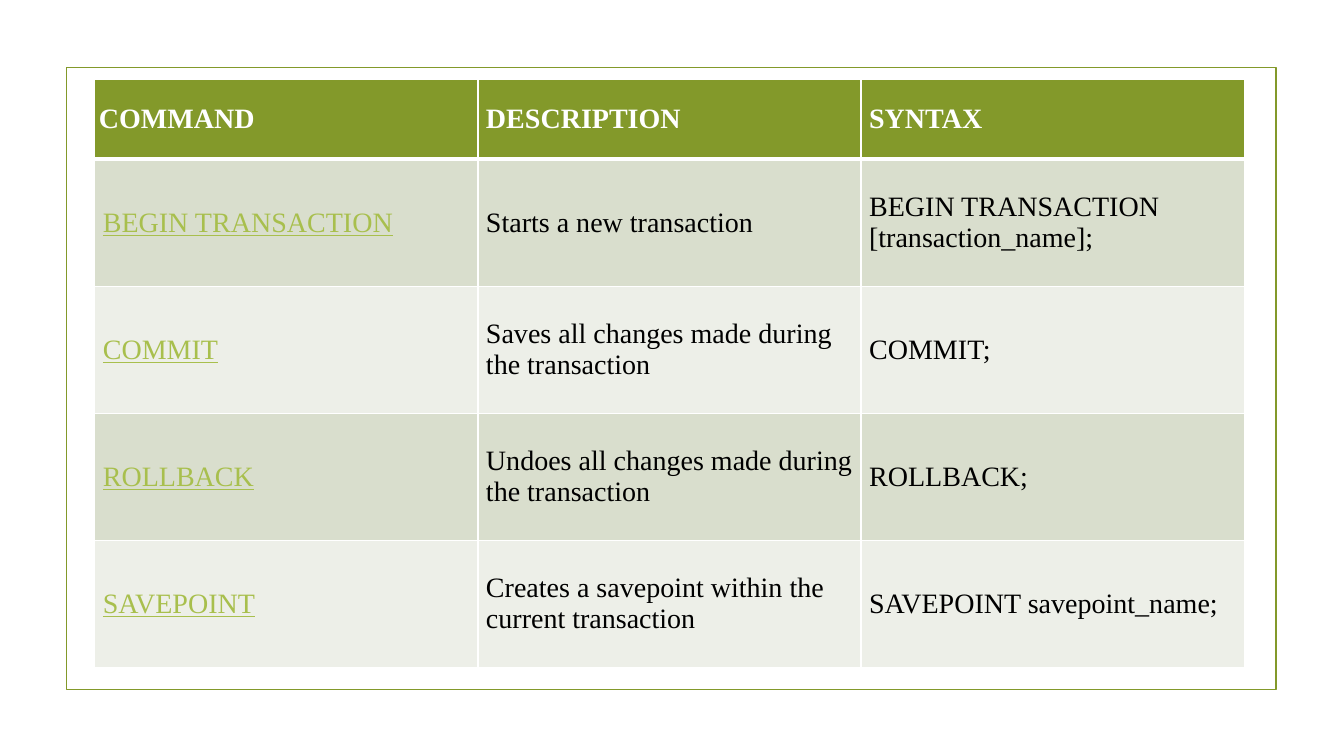
from lxml import etree
from pptx import Presentation
from pptx.dml.color import RGBColor
from pptx.enum.shapes import MSO_SHAPE
from pptx.enum.text import MSO_ANCHOR
from pptx.oxml.ns import qn
from pptx.util import Emu, Pt

EMU_PER_PX = 9144  # 100 px to the inch
COLORS = {
    "olive": "83992A",
    "link": "A8BF4D",
    "white": "FFFFFF",
    "black": "000000",
    "dark_band": "D9DECD",
    "light_band": "EDEFE8",
}
COMMANDS = [
    ("COMMAND", "DESCRIPTION", "SYNTAX"),
    ("BEGIN TRANSACTION", "Starts a new transaction",
     "BEGIN TRANSACTION [transaction_name];"),
    ("COMMIT", "Saves all changes made during the transaction", "COMMIT;"),
    ("ROLLBACK", "Undoes all changes made during the transaction", "ROLLBACK;"),
    ("SAVEPOINT", "Creates a savepoint within the current transaction",
     "SAVEPOINT savepoint_name;"),
]
HEADER_HEIGHT = 79


def px(length):
    return Emu(length * EMU_PER_PX)


def rgb(name):
    return RGBColor.from_string(COLORS[name])


def set_attributes(target, values):
    for name, value in values.items():
        setattr(target, name, value)


def add_frame(slide, box):
    frame = slide.shapes.add_shape(MSO_SHAPE.RECTANGLE, *map(px, box))
    frame.shadow.inherit = False
    frame.fill.background()
    frame.line.color.rgb = rgb("olive")
    frame.line.width = Pt(1.25)


def add_borders(cell, widths):
    # Border lines come before the fill in the cell properties
    properties = cell._tc.get_or_add_tcPr()
    for index, (side, width) in enumerate(widths.items()):
        line = etree.Element(qn(f"a:ln{side}"), w=str(Pt(width)))
        fill = etree.SubElement(line, qn("a:solidFill"))
        etree.SubElement(fill, qn("a:srgbClr"), val=COLORS["white"])
        properties.insert(index, line)


def format_cell(cell, text, row, column):
    is_header = row == 0
    is_link = column == 0 and not is_header
    if is_header:
        fill, ink = "olive", "white"
    else:
        fill = "dark_band" if row % 2 else "light_band"
        ink = "link" if is_link else "black"

    side_margin = px(4 if is_header and column == 0 else 8)
    end_margin = px(8 if is_header else 12)
    set_attributes(cell, {
        "text": text,
        "vertical_anchor": MSO_ANCHOR.MIDDLE,
        "margin_left": side_margin,
        "margin_right": side_margin,
        "margin_top": end_margin,
        "margin_bottom": end_margin,
    })
    cell.fill.solid()
    cell.fill.fore_color.rgb = rgb(fill)
    add_borders(cell, {"L": 1, "R": 1, "T": 3 if row == 1 else 1,
                       "B": 3 if is_header else 1})

    font = cell.text_frame.paragraphs[0].runs[0].font
    set_attributes(font, {"name": "Times New Roman", "size": Pt(20),
                          "bold": is_header, "underline": is_link})
    font.color.rgb = rgb(ink)


def add_command_table(slide, box):
    left, top, width, height = box
    row_count, column_count = len(COMMANDS), len(COMMANDS[0])
    table = slide.shapes.add_table(
        row_count, column_count, px(left), px(top), px(width), px(height)).table

    # Equal columns; body rows share the height below the header
    for column in table.columns:
        column.width = px(width // column_count)
    body_height = (height - HEADER_HEIGHT) // (row_count - 1)
    for index, row in enumerate(table.rows):
        row.height = px(body_height if index else HEADER_HEIGHT)

    for row, texts in enumerate(COMMANDS):
        for column, text in enumerate(texts):
            format_cell(table.cell(row, column), text, row, column)


def add_command_slide(presentation):
    slide = presentation.slides.add_slide(presentation.slide_layouts[6])
    add_frame(slide, (66, 67, 1200, 617))
    add_command_table(slide, (94, 79, 1140, 585))


def main():
    presentation = Presentation()
    set_attributes(presentation, {"slide_width": px(1333), "slide_height": px(750)})
    add_command_slide(presentation)
    presentation.save("out.pptx")


if __name__ == "__main__":
    main()
